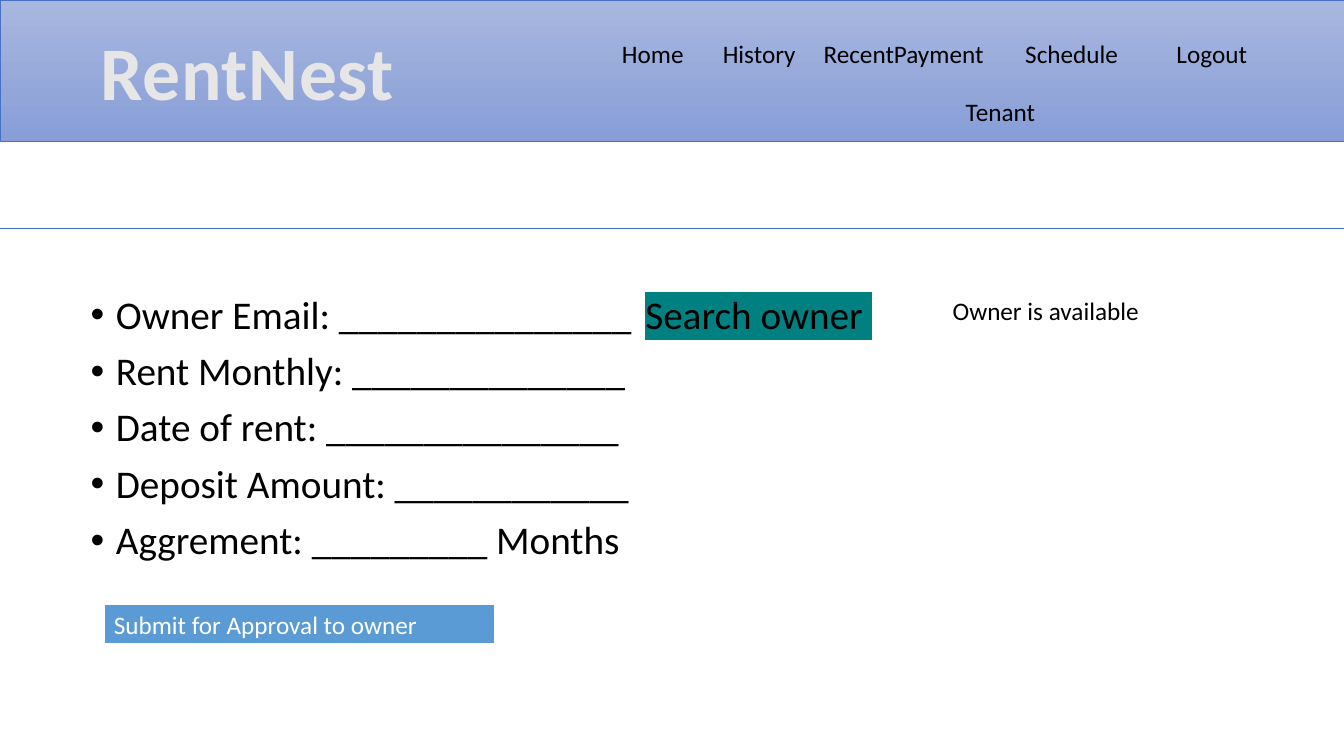
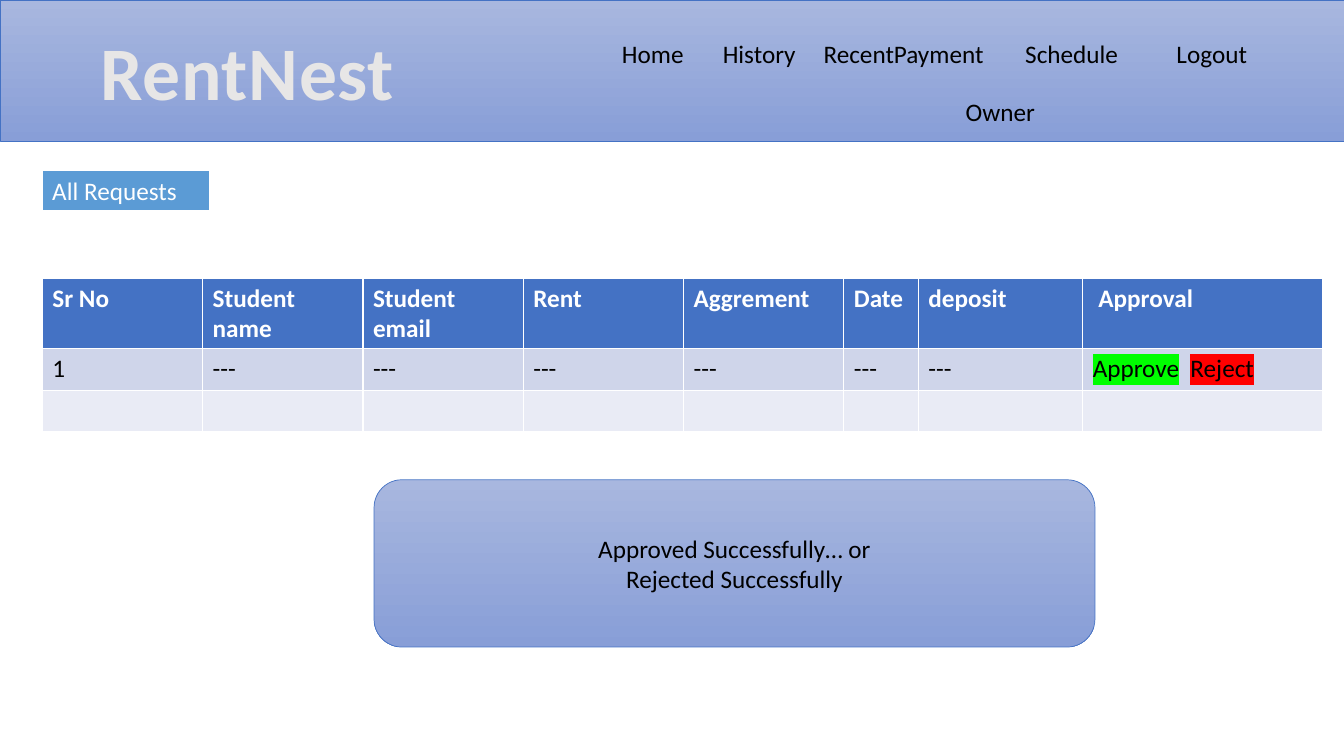
from dataclasses import dataclass

from lxml import etree
from pptx import Presentation
from pptx.dml.color import RGBColor
from pptx.enum.shapes import MSO_CONNECTOR, MSO_SHAPE
from pptx.enum.text import MSO_ANCHOR, MSO_AUTO_SIZE, PP_ALIGN
from pptx.oxml.ns import qn
from pptx.util import Inches, Pt

RECT, ROUND_RECT = MSO_SHAPE.RECTANGLE, MSO_SHAPE.ROUNDED_RECTANGLE
STRAIGHT = MSO_CONNECTOR.STRAIGHT
LEFT, CENTER = PP_ALIGN.LEFT, PP_ALIGN.CENTER
TOP, MIDDLE = MSO_ANCHOR.TOP, MSO_ANCHOR.MIDDLE
NO_FIT = MSO_AUTO_SIZE.NONE
CONTENT_LAYOUT, TITLE_LAYOUT = 1, 5


@dataclass(frozen=True)
class Theme:
    font: str = "Calibri"
    ink: str = "000000"
    white: str = "FFFFFF"
    logo: str = "E7E6E6"
    accent: str = "4472C4"
    button: str = "5B9BD5"
    grad_top: str = "A8B7DF"
    grad_bottom: str = "889ED7"
    row_dark: str = "CFD5EA"
    row_light: str = "E9EBF5"
    teal: str = "008080"
    green: str = "00FF00"
    red: str = "FF0000"
    title_size: int = 54
    list_size: int = 28
    text_size: int = 18


T = Theme()
WIDTH, HEIGHT = 13.33, 7.5
FIELDS = [
    "Owner Email: _______________\t",
    "Rent Monthly: ______________",
    "Date of rent: _______________",
    "Deposit Amount: ____________",
    "Aggrement: _________ Months",
]
HEADINGS = ["Sr No", "Student name", "Student email", "Rent", "Aggrement",
            "Date", "deposit", " Approval"]
COL_WIDTHS = [1.59] * 5 + [0.74, 1.63, 2.38]
ROW_HEIGHTS = [0.7, 0.41, 0.41]


def rgb(color):
    return RGBColor.from_string(color)


def inches(*box):
    return [Inches(v) for v in box]


def style_run(r, size=T.text_size, color=T.ink, bold=False, highlight=None):
    f = r.font
    f.name, f.size, f.bold = T.font, Pt(size), bold
    f.color.rgb = rgb(color)
    if highlight:
        mark = etree.Element(qn("a:highlight"))
        etree.SubElement(mark, qn("a:srgbClr")).set("val", highlight)
        r.font._element.find(qn("a:solidFill")).addnext(mark)


def add_run(p, text, **style):
    r = p.add_run()
    r.text = text
    style_run(r, **style)


def set_text(tf, text, align=LEFT, **style):
    tf.text = text
    for p in tf.paragraphs:
        p.alignment = align
        for r in p.runs:
            style_run(r, **style)


def place(sp, box):
    sp.left, sp.top, sp.width, sp.height = inches(*box)


def add_label(s, box, text):
    tf = s.shapes.add_textbox(*inches(*box)).text_frame
    tf.word_wrap = True
    set_text(tf, text)


def add_panel(s, kind, box):
    """Shape with the shared vertical gradient and thin outline."""
    sp = s.shapes.add_shape(kind, *inches(*box))
    sp.shadow.inherit = False
    sp.fill.gradient()
    sp.fill.gradient_angle = 270
    for stop, color in zip(sp.fill.gradient_stops, (T.grad_top, T.grad_bottom)):
        stop.color.rgb = rgb(color)
    sp.line.color.rgb = rgb(T.accent)
    sp.line.width = Pt(0.5)
    return sp


def add_button(s, box, text):
    sp = s.shapes.add_shape(RECT, *inches(*box))
    sp.shadow.inherit = False
    sp.fill.solid()
    sp.fill.fore_color.rgb = rgb(T.button)
    sp.line.color.rgb = rgb(T.white)
    sp.line.width = Pt(1.5)
    set_text(sp.text_frame, text, color=T.white)


def add_divider(s, y):
    line = s.shapes.add_connector(STRAIGHT, *inches(0, y, WIDTH, y))
    line.line.color.rgb = rgb(T.accent)
    line.line.width = Pt(0.5)
    etree.SubElement(line._element.spPr, qn("a:effectLst"))


def add_header(s, role):
    # Band goes behind the title placeholder
    band = add_panel(s, RECT, (0, 0, WIDTH, 1.4))
    s.shapes._spTree.insert(2, band._element)
    # App name
    title = s.shapes.title
    place(title, (0.88, 0.2, 3.15, 1.01))
    tf = title.text_frame
    tf.word_wrap, tf.auto_size, tf.vertical_anchor = False, NO_FIT, TOP
    set_text(tf, "RentNest", CENTER, size=T.title_size, color=T.logo, bold=True)
    tf.paragraphs[0].runs[0].font._element.set("spc", "50")
    # Menu and user role
    add_label(s, (6.07, 0.33, 6.95, 0.4),
              "Home\tHistory\tRecentPayment\tSchedule\t\tLogout")
    add_label(s, (9.48, 0.91, 2.82, 0.4), role)


def add_form(s, box):
    body = s.placeholders[1]
    place(body, box)
    tf = body.text_frame
    tf.auto_size = NO_FIT
    set_text(tf, "\n".join(FIELDS), size=T.list_size)
    for p in tf.paragraphs:
        p.line_spacing, p.space_before = 0.9, Pt(10)
        pPr = p._p.get_or_add_pPr()
        pPr.set("marL", str(Inches(0.25)))
        pPr.set("indent", str(-Inches(0.25)))
    add_run(tf.paragraphs[0], "Search owner ", size=T.list_size, highlight=T.teal)
    # Search result beside the first field
    left, top = box[:2]
    add_label(s, (left + 8.55, top, 2.74, 0.4), "Owner is available")


def add_requests(s, left, top):
    rows = [HEADINGS, ["1"] + ["---"] * 6 + [""], [""] * len(HEADINGS)]
    box = (left, top, sum(COL_WIDTHS), sum(ROW_HEIGHTS))
    table = s.shapes.add_table(len(rows), len(HEADINGS), *inches(*box)).table
    for col, width in zip(table.columns, COL_WIDTHS):
        col.width = Inches(width)
    fills = (T.accent, T.row_dark, T.row_light)
    for i, (texts, fill) in enumerate(zip(rows, fills)):
        table.rows[i].height = Inches(ROW_HEIGHTS[i])
        head = i == 0
        for cell, text in zip(table.rows[i].cells, texts):
            cell.fill.solid()
            cell.fill.fore_color.rgb = rgb(fill)
            if text:
                set_text(cell.text_frame, text, bold=head,
                         color=T.white if head else T.ink)
    # Approval actions
    p = table.cell(1, len(HEADINGS) - 1).text_frame.paragraphs[0]
    for text, color in (("Approve", T.green), ("  ", None), ("Reject", T.red)):
        add_run(p, text, highlight=color)


def add_message(s, box, text):
    tf = add_panel(s, ROUND_RECT, box).text_frame
    tf.vertical_anchor = MIDDLE
    set_text(tf, text, CENTER)


def tenant_slide(prs):
    s = prs.slides.add_slide(prs.slide_layouts[CONTENT_LAYOUT])
    add_header(s, "Tenant")
    add_divider(s, 2.27)
    add_form(s, (0.8, 2.88, 11.5, 2.91))
    add_button(s, (1.03, 5.99, 3.88, 0.4), "Submit for Approval to owner")


def owner_slide(prs):
    s = prs.slides.add_slide(prs.slide_layouts[TITLE_LAYOUT])
    add_header(s, "Owner")
    add_button(s, (0.42, 1.69, 1.66, 0.4), "All Requests")
    add_requests(s, 0.42, 2.76)
    add_message(s, (3.71, 4.76, 7.15, 1.66),
                "Approved Successfully… or\nRejected Successfully")


def main():
    prs = Presentation()
    prs.slide_width, prs.slide_height = inches(WIDTH, HEIGHT)
    tenant_slide(prs)
    owner_slide(prs)
    prs.save("out.pptx")


if __name__ == "__main__":
    main()
